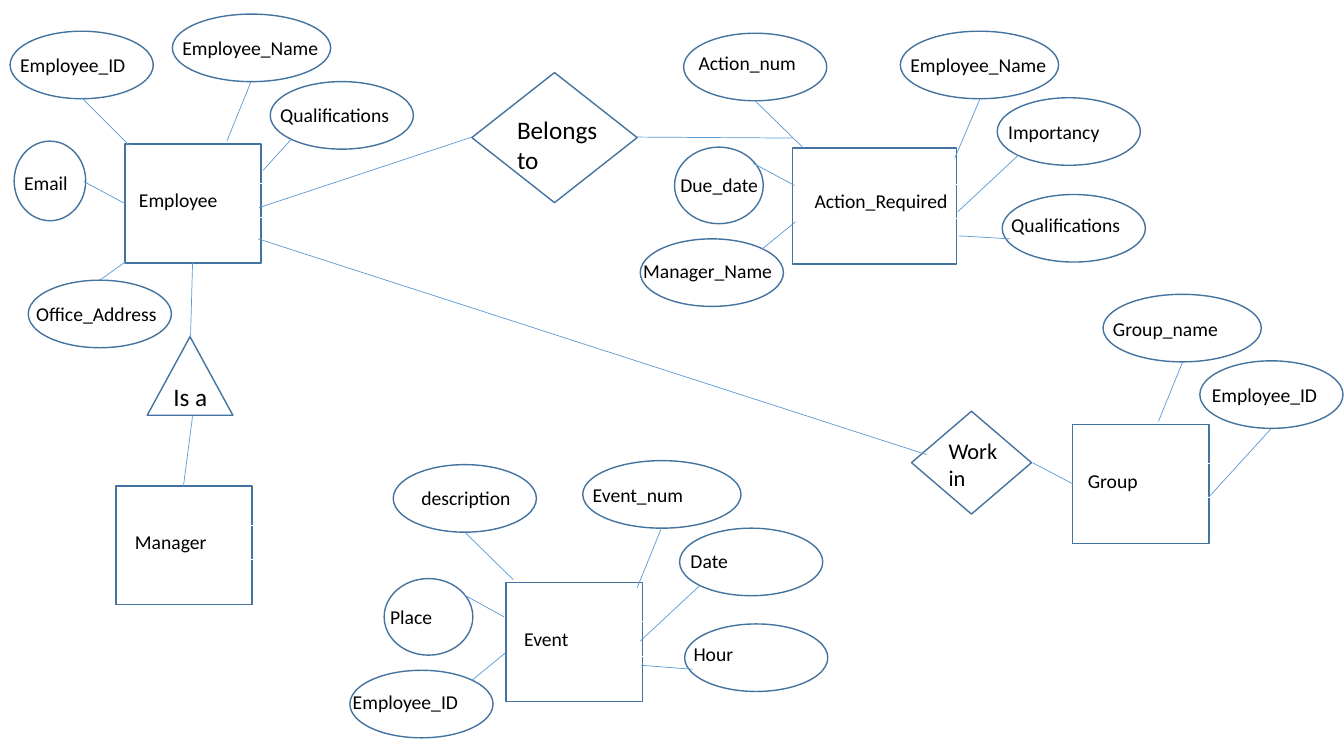
"""Build an entity-relationship diagram slide of employees, actions, groups and events."""
from lxml import etree
from pptx import Presentation
from pptx.dml.color import RGBColor
from pptx.enum.shapes import MSO_CONNECTOR, MSO_SHAPE
from pptx.enum.text import MSO_AUTO_SIZE
from pptx.oxml.ns import qn
from pptx.util import Inches, Pt

WHITE = RGBColor(0xFF, 0xFF, 0xFF)
BLACK = RGBColor(0x00, 0x00, 0x00)
OUTLINE = RGBColor(0x43, 0x73, 0x9E)
LINK = RGBColor(0x5B, 0x9B, 0xD5)
RECTANGLE = MSO_SHAPE.RECTANGLE
OVAL = MSO_SHAPE.OVAL
TRIANGLE = MSO_SHAPE.ISOSCELES_TRIANGLE
DIAMOND = MSO_SHAPE.DIAMOND
STRAIGHT = MSO_CONNECTOR.STRAIGHT
FIT_TEXT = MSO_AUTO_SIZE.SHAPE_TO_FIT_TEXT

presentation = Presentation()
presentation.slide_width = Inches(13.33)
presentation.slide_height = Inches(7.5)
slide = presentation.slides.add_slide(presentation.slide_layouts[6])


def add_outline(kind, left, top, width, height, filled=True):
    shape = slide.shapes.add_shape(
        kind, Inches(left), Inches(top), Inches(width), Inches(height))
    shape.shadow.inherit = False
    if filled:
        shape.fill.solid()
        shape.fill.fore_color.rgb = WHITE
    else:
        shape.fill.background()
    shape.line.color.rgb = OUTLINE
    shape.line.width = Pt(1)


def add_label(text, left, top, width, height=0.34, size=14):
    label = slide.shapes.add_textbox(
        Inches(left), Inches(top), Inches(width), Inches(height))
    label.text_frame.word_wrap = True
    label.text_frame.auto_size = FIT_TEXT
    run = label.text_frame.paragraphs[0].add_run()
    run.text = text
    run.font.name = "Calibri"
    run.font.size = Pt(size)
    run.font.color.rgb = BLACK
    return label


entities = [
    ("Employee", (1.24, 1.43, 1.35, 1.18), (1.28, 1.82, 1.42)),
    ("Action_Required", (7.86, 1.47, 1.63, 1.15), (7.98, 1.83, 1.65)),
    ("Manager", (1.15, 4.82, 1.35, 1.18), (1.24, 5.21, 1.42)),
    ("Group", (10.64, 4.21, 1.35, 1.18), (10.69, 4.6, 1.42)),
    ("Event", (5.02, 5.78, 1.35, 1.18), (5.1, 6.17, 1.42)),
]
for name, box, label_box in entities:
    add_outline(RECTANGLE, *box)
    entity_label = add_label(name, *label_box)
    entity_label.line.color.rgb = WHITE
    entity_label.line.width = Pt(0.75)

SMALL = (1.42, 0.67)
WIDE = (1.57, 0.67)
ROUND = (0.88, 0.76)
attributes = [
    ("Employee_ID", (0.1, 0.31), SMALL, (0.1, 0.48, 1.68)),
    ("Employee_Name", (1.71, 0.14), WIDE, (1.71, 0.31, 1.68)),
    ("Office_Address", (0.28, 2.78), SMALL, (0.26, 2.95, 1.68)),
    ("Email", (0.14, 1.4), (0.71, 0.79), (0.14, 1.65, 0.83)),
    ("Qualifications", (2.68, 0.81), SMALL, (2.68, 0.97, 1.68)),
    ("Employee_Name", (8.93, 0.31), WIDE, (8.93, 0.48, 1.68)),
    ("Importancy", (9.89, 0.97), SMALL, (9.9, 1.14, 1.68)),
    ("Action_num", (6.78, 0.33), SMALL, (6.83, 0.46, 1.68)),
    ("Due_date", (6.69, 1.46), ROUND, (6.65, 1.67, 1)),
    ("Manager_Name", (6.35, 2.37), SMALL, (6.28, 2.52, 1.68)),
    ("Qualifications", (9.94, 1.93), SMALL, (9.93, 2.06, 1.68)),
    ("Event_num", (5.78, 4.57), WIDE, (5.78, 4.74, 1.68)),
    ("Date", (6.74, 5.24), SMALL, (6.75, 5.4, 1.68)),
    ("Hour", (6.79, 6.19), SMALL, (6.78, 6.32, 1.68)),
    ("description", (3.9, 4.61), SMALL, (4.08, 4.77, 1.68)),
    ("Place", (3.81, 5.74), ROUND, (3.77, 5.95, 1)),
    ("Employee_ID", (3.47, 6.65), SMALL, (3.4, 6.8, 1.68)),
    ("Group_name", (10.94, 2.92), WIDE, (10.94, 3.09, 1.68)),
    ("Employee_ID", (11.9, 3.58), SMALL, (11.92, 3.75, 1.41)),
]
for name, corner, size, label_box in attributes:
    add_outline(OVAL, *corner, *size)
    add_label(name, *label_box)

relationships = [
    ("Is a", TRIANGLE, (1.46, 3.34, 0.85, 0.78), (1.62, 3.73, 0.58, 0.4), 18),
    ("Work in", DIAMOND, (9.04, 4.08, 1.19, 1.02), (9.31, 4.29, 0.73, 0.64), 16),
    ("Belongs to", DIAMOND, (4.68, 0.72, 1.64, 1.29), (5.03, 1.08, 1.04, 0.71), 18),
]
for name, kind, box, label_box, size in relationships:
    add_outline(kind, *box, filled=False)
    add_label(name, *label_box, size=size)

attribute_links = [
    (0.99, 2.78, 1.24, 2.6), (0.83, 1.8, 1.24, 2.02), (0.81, 0.97, 1.28, 1.44),
    (2.49, 0.81, 2.25, 1.4), (2.89, 1.38, 2.61, 1.69),
    (9.72, 0.98, 9.47, 1.57), (7.47, 1.62, 7.88, 1.84), (7.49, 1, 7.97, 1.47),
    (7.56, 2.47, 7.89, 2.2), (10.1, 1.54, 9.5, 2.1), (10.02, 2.37, 9.51, 2.34),
    (6.56, 5.24, 6.32, 5.83), (6.94, 5.81, 6.35, 6.36), (6.87, 6.64, 6.36, 6.6),
    (4.6, 5.9, 5, 6.12), (4.61, 5.28, 5.09, 5.75), (4.68, 6.75, 5.01, 6.48),
    (11.73, 3.59, 11.49, 4.18), (12.61, 4.25, 11.99, 4.93),
]
relationship_links = [
    (1.91, 2.61, 1.89, 3.34), (1.91, 4.13, 1.82, 4.82),
    (10.24, 4.59, 10.64, 4.8), (2.56, 2.37, 9.19, 4.51),
    (6.32, 1.36, 7.86, 1.37), (2.57, 2.06, 4.68, 1.36),
]
for ends in attribute_links + relationship_links:
    connector = slide.shapes.add_connector(STRAIGHT, *[Inches(value) for value in ends])
    connector.line.color.rgb = LINK
    connector.line.width = Pt(0.5)
    etree.SubElement(connector._element.spPr, qn("a:effectLst"))

presentation.save("out.pptx")
